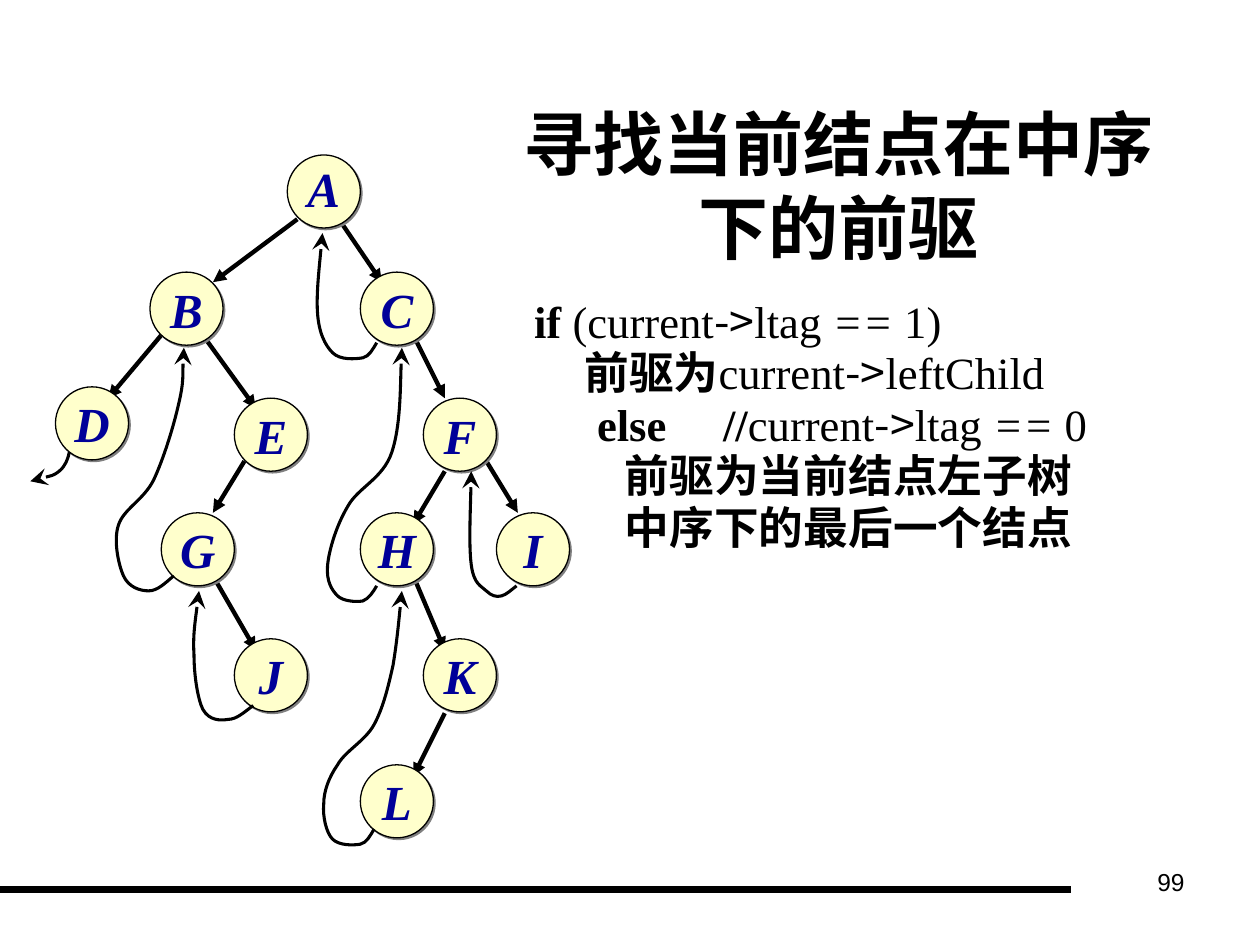
from lxml import etree
from pptx import Presentation
from pptx import util as u
from pptx.dml.color import RGBColor
from pptx.enum import shapes, text
from pptx.oxml import ns

BLACK = RGBColor(0x00, 0x00, 0x00)
NAVY = RGBColor(0x00, 0x00, 0x99)
CREAM = RGBColor(0xFF, 0xFF, 0xCC)
GREY = RGBColor(0x80, 0x80, 0x80)
SERIF, SANS, CJK = "Times New Roman", "Arial", "Noto Sans CJK SC"
SIZE = 0.58
MID = text.MSO_ANCHOR.MIDDLE
CENTER, RIGHT = text.PP_ALIGN.CENTER, text.PP_ALIGN.RIGHT


def sub(parent, tag, **attrs):
    return etree.SubElement(parent, ns.qn("a:" + tag),
                            {k: str(v) for k, v in attrs.items()})


def apply(obj, vals):
    for key, val in vals.items():
        setattr(obj, key, val)


class Page:
    def __init__(self, slide):
        self.slide = slide
        self.items = slide.shapes

    def run(self, para, words, face, **vals):
        run = para.add_run()
        run.text = words
        run.font.color.rgb = BLACK
        apply(run.font, {"name": face, **vals})
        sub(run.font._element, "ea", typeface=CJK)
        return run

    def box(self, x, y, w, h, **vals):
        frame = self.items.add_textbox(*map(u.Inches, (x, y, w, h))).text_frame
        apply(frame, {"word_wrap": True, **vals})
        return frame

    def stroke(self, line, width, head=None, size="med"):
        line.color.rgb = BLACK
        line.width = u.Pt(width)
        if head:
            sub(line._get_or_add_ln(), "tailEnd", type=head, w=size, len=size)

    def line(self, start, end, width=2.5, head="triangle"):
        link = self.items.add_connector(shapes.MSO_CONNECTOR.STRAIGHT,
                                        *map(u.Inches, start + end))
        self.stroke(link.line, width, head)
        sub(link._element.spPr, "effectLst")

    def node(self, name, x, y):
        dot = self.items.add_shape(shapes.MSO_SHAPE.OVAL,
                                   *map(u.Inches, (x, y, SIZE, SIZE)))
        dot.fill.solid()
        dot.fill.fore_color.rgb = CREAM
        self.stroke(dot.line, 0.75)
        dot.shadow.inherit = False
        glow = sub(dot._element.spPr.find(ns.qn("a:effectLst")), "outerShdw",
                   dist=u.Pt(1.4), dir=45 * 60000, algn="ctr", rotWithShape=0)
        sub(glow, "srgbClr", val=GREY)
        frame = dot.text_frame
        apply(frame, {"word_wrap": False, "vertical_anchor": MID})
        para = frame.paragraphs[0]
        para.alignment = CENTER
        if name == "A":
            para.line_spacing = 0.9
        run = self.run(para, name, SERIF, size=u.Pt(28), bold=True, italic=True)
        run.font.color.rgb = NAVY

    def curve(self, *pts):
        """Draw a start point followed by triples of Bezier points."""
        unit = 1000
        spots = [(x * unit, y * unit) for x, y in pts]
        pen = self.items.build_freeform(*spots[0], scale=u.Inches(1) / unit)
        pen.add_line_segments(spots[1:], close=False)
        shape = pen.convert_to_shape()
        shape.fill.background()
        shape.shadow.inherit = False
        self.stroke(shape.line, 1.75, "stealth", "lg")
        # Join each three segments into one cubic curve
        segs = list(shape._element.iter(ns.qn("a:lnTo")))
        for i in range(0, len(segs), 3):
            bend = etree.Element(ns.qn("a:cubicBezTo"))
            segs[i].addprevious(bend)
            for seg in segs[i:i + 3]:
                bend.append(seg[0])
                seg.getparent().remove(seg)


def main():
    deck = Presentation()
    deck.slide_width, deck.slide_height = u.Inches(10), u.Inches(7.5)
    page = Page(deck.slides.add_slide(deck.slide_layouts[6]))

    # Footer rule and page number
    page.line((0, 7.06), (8.5, 7.06), 4.5, None)
    para = page.box(7.17, 6.83, 2.33, 0.52).paragraphs[0]
    para.alignment = RIGHT
    page.run(para, "99", SANS, size=u.Pt(14))

    # Title
    para = page.box(3.98, 0.68, 5.35, 1.57, vertical_anchor=MID).paragraphs[0]
    para.alignment = CENTER
    big = {"size": u.Pt(40), "bold": True}
    page.run(para, "寻找当前结点在中序", SANS, **big)
    para.add_line_break()
    page.run(para, "下的前驱", SANS, **big)

    # Algorithm: left margin, tab stops, runs with their face and style
    bold, slant = {"bold": True}, {"italic": True}
    arrow = ("->", CJK, {})
    rows = [
        (0, (), [("if", SERIF, bold), (" (current", SERIF, {}), arrow,
                 ("ltag ", SERIF, {}), ("== ", SERIF, slant), ("1)", SERIF, {})]),
        (0.4, (), [("前驱为", SERIF, bold), ("current", SERIF, {}), arrow,
                   ("leftChild", SERIF, {})]),
        (0, (0.36, 1.25), [("\telse\t//", SERIF, bold), ("current", SERIF, {}),
                           arrow, ("ltag ", SERIF, {}), ("== ", SERIF, slant),
                           ("0", SERIF, {})]),
        (0.72, (), [("前驱为当前结点左子树", SERIF, bold)]),
        (0.72, (), [("中序下的最后一个结点", SERIF, bold)]),
    ]
    frame = page.box(4.14, 2.33, 5.83, 3.03)
    for i, (left, stops, runs) in enumerate(rows):
        para = frame.add_paragraph() if i else frame.paragraphs[0]
        props = para._p.get_or_add_pPr()
        props.set("marL", str(u.Inches(left)))
        props.set("indent", "0")
        if stops:
            tabs = sub(props, "tabLst")
            for stop in stops:
                sub(tabs, "tab", pos=u.Inches(stop), algn="l")
        para.line_spacing = 0.9
        if i:
            para.space_before = u.Pt(1.9)
        for words, face, vals in runs:
            page.run(para, words, face, size=u.Pt(25.5), **vals)

    # Tree edges
    for start, end in [
        ((2.69, 1.74), (3.03, 2.24)), ((3.28, 2.66), (3.53, 3.16)),
        ((3.86, 3.66), (4.11, 4.07)), ((3.53, 3.74), (3.28, 4.16)),
        ((3.28, 4.57), (3.53, 5.16)), ((1.61, 2.66), (2.03, 3.24)),
        ((1.94, 3.66), (1.69, 4.07)), ((1.69, 4.57), (2.03, 5.16)),
        ((1.28, 2.66), (0.86, 3.16)), ((3.53, 5.66), (3.28, 6.16)),
        ((2.36, 1.74), (1.69, 2.24)),
    ]:
        page.line(start, end)

    # Tree nodes
    for name, x, y in [
        ("A", 2.28, 1.23), ("B", 1.19, 2.16), ("D", 0.44, 3.07),
        ("E", 1.86, 3.16), ("C", 2.86, 2.16), ("F", 3.36, 3.16),
        ("H", 2.86, 4.07), ("I", 3.94, 4.07), ("K", 3.36, 5.07),
        ("G", 1.28, 4.07), ("J", 1.86, 5.07), ("L", 2.86, 6.07),
    ]:
        page.node(name, x, y)

    # Threads to the predecessors: I, L, H, C, J, G, D
    for pts in [
        [(4.1, 4.65), (4.06, 4.68), (4.02, 4.72), (3.98, 4.73), (3.94, 4.74),
         (3.9, 4.73), (3.86, 4.69), (3.82, 4.65), (3.76, 4.64), (3.74, 4.48),
         (3.72, 4.33), (3.74, 3.87), (3.74, 3.74)],
        [(2.97, 6.58), (2.94, 6.63), (2.91, 6.69), (2.86, 6.7), (2.8, 6.71),
         (2.69, 6.71), (2.64, 6.66), (2.59, 6.61), (2.56, 6.48), (2.57, 6.38),
         (2.57, 6.28), (2.61, 6.17), (2.68, 6.07), (2.74, 5.96), (2.9, 5.88),
         (2.97, 5.75), (3.04, 5.62), (3.08, 5.46), (3.12, 5.28), (3.15, 5.1),
         (3.18, 4.79), (3.19, 4.69)],
        [(2.99, 4.65), (2.96, 4.7), (2.93, 4.75), (2.88, 4.77), (2.82, 4.78),
         (2.72, 4.77), (2.68, 4.73), (2.63, 4.68), (2.59, 4.61), (2.6, 4.49),
         (2.61, 4.37), (2.67, 4.17), (2.76, 4.02), (2.84, 3.87), (3.04, 3.8),
         (3.11, 3.59), (3.18, 3.38), (3.18, 2.9), (3.19, 2.76)],
        [(2.99, 2.72), (2.96, 2.77), (2.93, 2.83), (2.88, 2.84), (2.82, 2.85),
         (2.7, 2.86), (2.64, 2.8), (2.58, 2.74), (2.53, 2.64), (2.52, 2.48),
         (2.51, 2.33), (2.55, 1.96), (2.56, 1.85)],
        [(2.01, 5.6), (1.94, 5.65), (1.88, 5.71), (1.81, 5.71), (1.75, 5.72),
         (1.66, 5.72), (1.61, 5.63), (1.57, 5.55), (1.54, 5.36), (1.54, 5.2),
         (1.53, 5.04), (1.57, 4.77), (1.58, 4.69)],
        [(1.38, 4.57), (1.31, 4.63), (1.25, 4.69), (1.18, 4.69), (1.11, 4.69),
         (1.02, 4.66), (0.98, 4.57), (0.94, 4.48), (0.9, 4.29), (0.94, 4.17),
         (0.98, 4.04), (1.14, 3.97), (1.22, 3.81), (1.3, 3.64), (1.38, 3.38),
         (1.42, 3.2), (1.46, 3.03), (1.45, 2.83), (1.46, 2.76)],
        [(0.55, 3.59), (0.54, 3.64), (0.52, 3.7), (0.47, 3.74), (0.42, 3.78),
         (0.28, 3.81), (0.24, 3.82)],
    ]:
        page.curve(*pts)

    deck.save("out.pptx")


if __name__ == "__main__":
    main()
